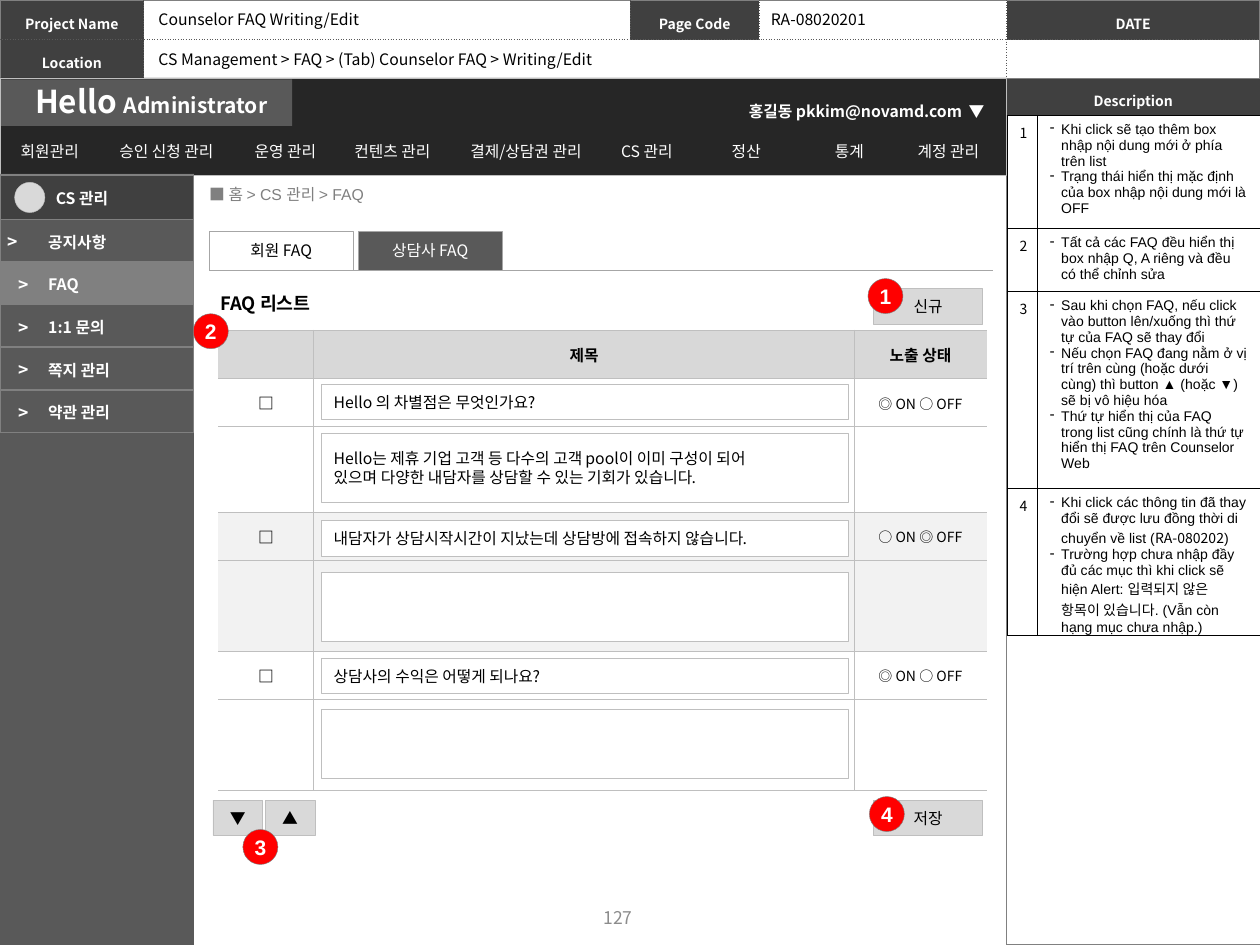
import pptx
import pptx.dml.color
import pptx.enum.shapes
import pptx.enum.text
import pptx.oxml
import pptx.oxml.ns
import pptx.util
from lxml import etree

Pt = pptx.util.Pt
SHAPE = pptx.enum.shapes.MSO_SHAPE
ALIGN = pptx.enum.text.PP_ALIGN
ANCHOR = pptx.enum.text.MSO_ANCHOR
qn = pptx.oxml.ns.qn

COLORS = {
    "white": "FFFFFF", "black": "000000", "bar": "262626", "head": "404040",
    "side": "595959", "mid": "808080", "tab": "A6A6A6", "edge": "BFBFBF",
    "button": "D9D9D9", "th": "D8D8D8", "band": "F2F2F2", "red": "FF0000",
    "page": "8C8C8C",
}
KOREAN = "Noto Sans CJK KR"
BASE = {"size": 9, "bold": False, "name": KOREAN, "color": "black"}
WHITE_BOLD = {"color": "white", "bold": True}
HEADING = {"size": 8, **WHITE_BOLD}
ARIAL = {"name": "Arial"}


def rgb(key):
    return pptx.dml.color.RGBColor.from_string(COLORS[key])


class Wireframe:
    """Holds the current slide and draws each kind of element in one style."""

    def __init__(self, slide):
        self.slide = slide

    def fill(self, target, color):
        if color:
            target.fill.solid()
            target.fill.fore_color.rgb = rgb(color)
        else:
            target.fill.background()

    def add_paras(self, tf, paras, align=ALIGN.LEFT, spacing=None, bullet=None, **fmt):
        """paras: a string, or a list of paragraphs, each a string or a list of (text, format)."""
        for i, para in enumerate([paras] if isinstance(paras, str) else paras):
            p = tf.paragraphs[0] if i == 0 else tf.add_paragraph()
            p.alignment = align
            if spacing:
                p.line_spacing = spacing
            if bullet:
                pPr = p._p.get_or_add_pPr()
                pPr.set("marL", str(Pt(6.5)))
                pPr.set("indent", str(-Pt(6.5)))
                etree.SubElement(pPr, qn("a:buChar")).set("char", bullet)
            for text, extra in [(para, {})] if isinstance(para, str) else para:
                r = p.add_run()
                r.text = text
                style = {**BASE, **fmt, **extra}
                r.font.color.rgb = rgb(style.pop("color"))
                style["size"] = Pt(style["size"])
                for name, value in style.items():
                    setattr(r.font, name, value)
                etree.SubElement(r._r.get_or_add_rPr(), qn("a:ea")).set("typeface", KOREAN)

    def title(self, box, text, **fmt):
        s = self.slide.shapes.title
        s.left, s.top, s.width, s.height = map(Pt, box)
        tf = s.text_frame
        for name, value in {"word_wrap": False, "vertical_anchor": ANCHOR.TOP,
                            "auto_size": pptx.enum.text.MSO_AUTO_SIZE.NONE}.items():
            setattr(tf, name, value)
        self.add_paras(tf, text, **fmt)

    def text(self, box, paras, wrap=False, anchor=ANCHOR.TOP, **fmt):
        tf = self.slide.shapes.add_textbox(*map(Pt, box)).text_frame
        tf.word_wrap = wrap
        tf.vertical_anchor = anchor
        self.add_paras(tf, paras, **fmt)

    def shape(self, box, fill, paras="", line=None, kind=SHAPE.RECTANGLE, **fmt):
        s = self.slide.shapes.add_shape(kind, *map(Pt, box))
        s.shadow.inherit = False
        self.fill(s, fill)
        if line:
            s.line.color.rgb = rgb(line)
            s.line.width = Pt(0.25)
        else:
            s.line.fill.background()
        if paras:
            s.text_frame.word_wrap = False
            s.text_frame.vertical_anchor = ANCHOR.MIDDLE
            self.add_paras(s.text_frame, paras, **fmt)

    def button(self, box, label):
        self.shape(box, "button", label, line="edge", align=ALIGN.CENTER)

    def badge(self, x, y, number):
        self.shape((x, y, 20, 20), "red", number, line="mid", kind=SHAPE.OVAL,
                   align=ALIGN.CENTER, size=12, **WHITE_BOLD, **ARIAL)

    def line(self, x1, y1, x2, y2, color, width):
        c = self.slide.shapes.add_connector(
            pptx.enum.shapes.MSO_CONNECTOR.STRAIGHT, *map(Pt, (x1, y1, x2, y2)))
        c.line.color.rgb = rgb(color)
        c.line.width = Pt(width)
        etree.SubElement(c._element.spPr, qn("a:effectLst"))

    def borders(self, cell, sides):
        tcPr = cell._tc.get_or_add_tcPr()
        for i, side in enumerate("LRTB"):
            ln = etree.SubElement(tcPr, qn("a:ln" + side))
            if sides[side]:
                color, width, dash = sides[side]
                ln.set("w", str(Pt(width)))
                solid = etree.SubElement(ln, qn("a:solidFill"))
                etree.SubElement(solid, qn("a:srgbClr")).set("val", COLORS[color])
                etree.SubElement(ln, qn("a:prstDash")).set("val", dash)
            else:
                etree.SubElement(ln, qn("a:noFill"))
            tcPr.insert(i, ln)

    def table(self, x, y, cols, rows, cells, h, v=None, ends=None, sides=None):
        """h, v: inner lines; ends: top and bottom; sides: left and right.
        cells maps (row, column) to fill, text, margins and text format."""
        t = self.slide.shapes.add_table(len(rows), len(cols), Pt(x), Pt(y),
                                        Pt(sum(cols)), Pt(sum(rows))).table
        t.first_row = t.horz_banding = False
        for track, size in zip(t.columns, cols):
            track.width = Pt(size)
        for track, size in zip(t.rows, rows):
            track.height = Pt(size)
        for i in range(len(rows)):
            for j in range(len(cols)):
                cell, look = t.cell(i, j), dict(cells.get((i, j), {}))
                self.fill(cell, look.pop("fill", None))
                margins = look.pop("margins", (0.7, 0.7, 0.7, 0))
                for name, m in zip(("left", "top", "right", "bottom"), margins):
                    setattr(cell, "margin_" + name, Pt(m))
                cell.vertical_anchor = look.pop("anchor", ANCHOR.MIDDLE)
                text = look.pop("text", "")
                if text:
                    self.add_paras(cell.text_frame, text, **look)
                self.borders(cell, {
                    "L": v if j else sides, "R": v if j < len(cols) - 1 else sides,
                    "T": h if i else ends, "B": h if i < len(rows) - 1 else ends})
        return t


prs = pptx.Presentation()
prs.slide_width, prs.slide_height = Pt(720), Pt(540)
w = Wireframe(prs.slides.add_slide(prs.slide_layouts[5]))
w.title((118.8, 163.4, 71, 20), "FAQ 리스트", size=10.5, bold=True)

# Page header and description frame
dotted, frame = ("side", 0.5, "sysDot"), ("mid", 0.5, "solid")
label = {"fill": "head", "align": ALIGN.CENTER, "spacing": 1.3, "margins": [2.9] * 4, **HEADING}
names = {(0, 0): "Project Name", (0, 2): "Page Code", (0, 4): "DATE", (1, 0): "Location"}
header = w.table(0, 0, [82.2, 277.8, 74, 141.3, 144.7], [22.3] * 2,
                 {at: {"text": name, **label} for at, name in names.items()},
                 dotted, dotted, frame, frame)
header.cell(1, 1).merge(header.cell(1, 3))
w.table(575.3, 44.6, [144.7], [22.3, 473], {(0, 0): {"text": "Description", **label}},
        dotted, None, frame, frame)
for x, y, text in [(83.5, 2.2, "Counselor FAQ Writing/Edit"), (433.4, 2.2, "RA-08020201"),
                   (83.5, 24.8, "CS Management > FAQ > (Tab) Counselor FAQ > Writing/Edit")]:
    w.text((x, y, 274, 18), text)

# Top bar with navigation
w.shape((0, 44.6, 575.3, 55.4), "bar", line="edge")
w.shape((0.7, 45.4, 166.3, 26.6), "side")
w.text((13, 43.2, 150, 28.8), [[("Hello ", {"size": 18}), ("Administrator", {"size": 12})]],
       **WHITE_BOLD)
menu = ["회원관리", "승인 신청 관리", "운영 관리", "컨텐츠 관리", "결제/상담권 관리",
        "CS 관리", "정산", "통계", "계정 관리"]
bar_line = ("bar", 1, "solid")
w.table(1.4, 74.9, [54, 79.2, 56.9, 65.5, 87.1, 51.1, 62.6, 55.4, 57.6], [22.3],
        {(0, j): {"text": m, "color": "white", "align": ALIGN.CENTER} for j, m in enumerate(menu)},
        bar_line, bar_line, bar_line, bar_line)
w.text((419, 52.6, 139.7, 18.7), "홍길동 pkkim@novamd.com", wrap=True, align=ALIGN.CENTER,
       spacing=1.2, **WHITE_BOLD)
w.text((546.5, 52.6, 23.8, 18.7), "▼", spacing=1.2, **WHITE_BOLD)

# Side menu
w.shape((0, 99.4, 110.9, 440.6), "side")
side_cells = {(0, 0): {"fill": "head"},
              (0, 1): {"fill": "head", "text": "CS 관리", "margins": (5, 0.7, 0.7, 0), **WHITE_BOLD}}
for i, item in enumerate(["공지사항", "FAQ", "1:1 문의", "쪽지 관리", "약관 관리"], 1):
    look = {"fill": "mid" if item == "FAQ" else "side", **WHITE_BOLD}
    side_cells[i, 0] = {"text": ">", "size": 10, "align": ALIGN.CENTER, **look,
                        "margins": (0.7, 0.7, 13 if i == 1 else 0.7, 0)}
    side_cells[i, 1] = {"text": item, **look}
side_line = ("mid", 1, "solid")
w.table(0, 100.1, [26.9, 83.8], [25.2] + [24.4] * 5, side_cells,
        side_line, None, side_line, side_line)
w.shape((8.4, 104.2, 17.3, 17.3), "button", line="edge", kind=SHAPE.OVAL)

# Breadcrumb and tabs
w.text((112.5, 98.6, 440, 24.5), "■ 홈 > CS 관리 > FAQ", wrap=True, anchor=ANCHOR.MIDDLE,
       color="mid", **ARIAL)
for x, fill, color, name in [(119.5, "white", "black", "회원 FAQ"),
                             (204.7, "side", "white", "상담사 FAQ")]:
    w.shape((x, 132, 82.3, 22.3), fill, name, line="tab", align=ALIGN.CENTER, color=color)
w.line(119.5, 154.6, 567.4, 154.6, "tab", 0.75)

# FAQ table: a question row and an answer row for each entry
center = {"align": ALIGN.CENTER}
faq = {(0, j): {"fill": "th", "text": text, "bold": True, **center}
       for j, text in enumerate(["", "제목", "노출 상태"])}
on, off = "◎ ON ○ OFF", "○ ON ◎ OFF"
for k, (state, fill) in enumerate([(on, "white"), (off, "band"), (on, "white")]):
    for i in (2 * k + 1, 2 * k + 2):
        faq.update({(i, j): {"fill": fill} for j in range(3)})
    faq[2 * k + 1, 0].update(text="□", bold=True, **center)
    faq[2 * k + 1, 2].update(text=state, size=8, **center)
grid = ("edge", 0.5, "solid")
w.table(124.6, 188.6, [54.7, 308.9, 75.6], [27.5, 27.5, 49, 27.5, 52, 27.5, 52], faq,
        grid, grid, grid)

# Input fields over the table
for y, height, paras in [
        (219.6, 20.2, "Hello 의 차별점은 무엇인가요?"),
        (247.7, 39.6, ["Hello는 제휴 기업 고객 등 다수의 고객 pool이 이미 구성이 되어",
                       "있으며 다양한 내담자를 상담할 수 있는 기회가 있습니다."]),
        (297.4, 20.2, "내담자가 상담시작시간이 지났는데 상담방에 접속하지 않습니다."),
        (326.9, 39.6, ""),
        (376.2, 20.2, "상담사의 수익은 어떻게 되나요?"),
        (405.4, 39.6, "")]:
    w.shape((183.6, y, 301, height), "white", paras, line="edge")

# Buttons
for x, y, width, name in [(499, 164.9, 62.6, "신규"), (499, 457.2, 62.6, "저장"),
                          (121.7, 457.2, 28.4, "▼"), (151.6, 457.2, 28.4, "▲")]:
    w.button((x, y, width, 20.2), name)

# Description list
notes = [
    ["Khi click sẽ tạo thêm box nhập nội dung mới ở phía trên list",
     "Trạng thái hiển thị mặc định của box nhập nội dung mới là OFF"],
    ["Tất cả các FAQ đều hiển thị box nhập Q, A riêng và đều có thể chỉnh sửa"],
    ["Sau khi chọn FAQ, nếu click vào button lên/xuống thì thứ tự của FAQ sẽ thay đổi",
     "Nếu chọn FAQ đang nằm ở vị trí trên cùng (hoặc dưới cùng) thì button ▲ (hoặc ▼) "
     "sẽ bị vô hiệu hóa",
     "Thứ tự hiển thị của FAQ trong list cũng chính là thứ tự hiển thị FAQ trên Counselor Web"],
    [[("Khi click các thông tin đã thay đổi sẽ được lưu đồng thời di chuyển về list (", {}),
      ("RA-080202", {"name": KOREAN}), (")", {})],
     "Trường hợp chưa nhập đầy đủ các mục thì khi click sẽ hiện Alert: 입력되지 않은 "
     "항목이 있습니다. (Vẫn còn hạng mục chưa nhập.)"],
]
note = {"fill": "white", "size": 8, "anchor": ANCHOR.TOP, "margins": (7.2, 3.6, 7.2, 3.6)}
note_cells = {}
for i, paras in enumerate(notes):
    note_cells[i, 0] = {"text": str(i + 1), **note}
    note_cells[i, 1] = {"text": paras, "bullet": "-", **note, **ARIAL}
black = ("black", 0.5, "solid")
w.table(575.5, 66, [17, 127.5], [64.6, 36, 112.6, 84], note_cells, black, black, black, black)

# Numbered badges and page number
for number, (x, y) in enumerate([(496, 159.2), (110.5, 179.3), (138.8, 474), (496.8, 455.2)], 1):
    w.badge(x, y, str(number))
w.text((269.3, 509.8, 167.8, 28.8), "127", wrap=True, anchor=ANCHOR.MIDDLE,
       align=ALIGN.CENTER, size=10, color="page")

prs.save("out.pptx")
